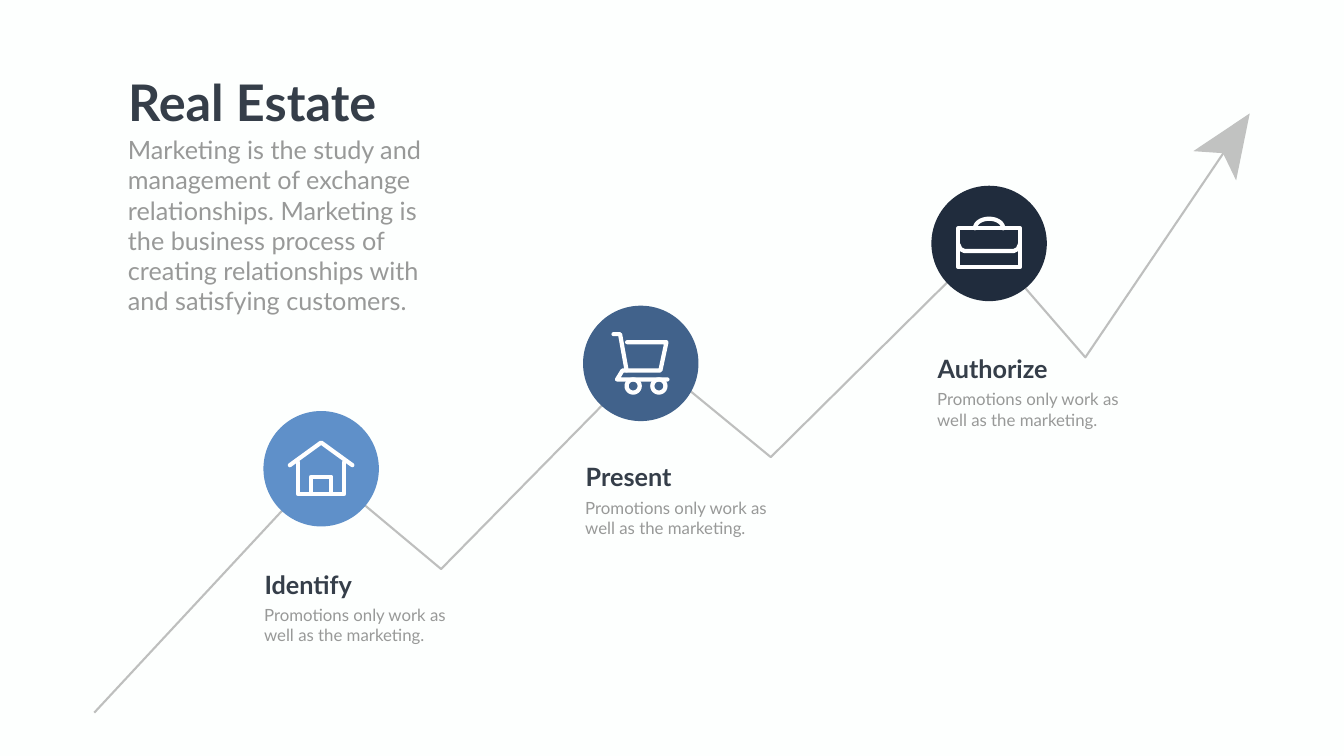
"""Build a rising real estate path with three marked steps."""
import math
import pptx
import pptx.dml.color
import pptx.enum.shapes
import pptx.enum.text
import pptx.oxml.ns
import pptx.util
from lxml import etree

Inches = pptx.util.Inches
qn = pptx.oxml.ns.qn
DARK, GREY, WHITE = "353E49", "989998", "FFFFFF"
TITLE = "Real Estate"
INTRO = ("Marketing is the study and management of exchange relationships. "
         "Marketing is the business process of creating relationships with "
         "and satisfying customers.")
NOTE = "Promotions only work as well as the marketing."
SIZE = 2.29


def arc(x, y, wide, high, start, end, count=24):
    turns = [math.radians(start + (end - start) * i / count)
             for i in range(count + 1)]
    return [(x + wide * math.cos(t), y + high * math.sin(t)) for t in turns]


TREND = [(1.87, 14.14), (6.37, 9.3), (8.75, 11.29), (12.88, 7.09),
         (15.29, 9.07), (19.57, 4.83), (21.53, 7.09), (24.3, 2.99)]
TIP = [(24.79, 2.25), (24.52, 3.58), (24.26, 3.04), (23.67, 3), (24.79, 2.25)]

HOUSE = [
    [(5.75, 9.23), (6.37, 8.78), (6.99, 9.23)],
    [(5.91, 9.17), (5.91, 9.8), (6.83, 9.8), (6.83, 9.17)],
    [(6.17, 9.8), (6.17, 9.46), (6.57, 9.46), (6.57, 9.8)],
]
CART = [
    [(12.17, 6.63), (12.3, 6.63), (12.43, 7.35)],
    [(12.44, 6.79), (13.22, 6.79), (13.1, 7.35), (12.35, 7.35),
     (12.24, 7.53), (13.24, 7.53)],
    arc(12.56, 7.66, 0.13, 0.13, 0, 360),
    arc(13.07, 7.66, 0.13, 0.13, 0, 360),
]
CASE = [
    [(19.01, 4.53), (20.23, 4.53), (20.23, 5.3), (19.01, 5.3), (19.01, 4.53)],
    [(19.01, 4.85), (19.05, 4.94), (19.13, 4.98), (20.11, 4.98),
     (20.19, 4.94), (20.23, 4.85)],
    arc(19.62, 4.53, 0.28, 0.19, 180, 360),
]

STEPS = [
    {"name": "Identify", "fill": "5F90C9", "mid": (6.37, 9.3),
     "text": (5.15, 11.24), "icon": HOUSE},
    {"name": "Present", "fill": "41628B", "mid": (12.71, 7.21),
     "text": (11.52, 9.11), "icon": CART},
    {"name": "Authorize", "fill": "202C3D", "mid": (19.62, 4.83),
     "text": (18.5, 6.96), "icon": CASE},
]


def color(hue):
    return pptx.dml.color.RGBColor.from_string(hue)


def paint(shape, fill=None, line=None, width=0):
    shape.shadow.inherit = False
    if fill:
        shape.fill.solid()
        shape.fill.fore_color.rgb = color(fill)
    else:
        shape.fill.background()
    if line:
        shape.line.color.rgb = color(line)
        shape.line.width = pptx.util.Pt(width)
    else:
        shape.line.fill.background()
    return shape


def trace(paths, **style):
    pen = None
    for points in paths:
        spots = [(Inches(x), Inches(y)) for x, y in points]
        if pen is None:
            pen = slide.shapes.build_freeform(*spots[0], scale=1.0)
        else:
            pen.move_to(*spots[0])
        pen.add_line_segments(spots[1:], close=spots[0] == spots[-1])
    return paint(pen.convert_to_shape(), **style)


def disc(mid, size, **style):
    x, y = (Inches(v - size / 2) for v in mid)
    oval = pptx.enum.shapes.MSO_SHAPE.OVAL
    side = Inches(size)
    return paint(slide.shapes.add_shape(oval, x, y, side, side), **style)


def write(text, box, size, hue, bold=False, wrap=True, shape=None):
    left, top, width, height = (Inches(v) for v in box)
    if shape is None:
        shape = slide.shapes.add_textbox(left, top, width, height)
    shape.left, shape.top = left, top
    shape.width, shape.height = width, height
    frame = shape.text_frame
    frame.text = text
    frame.word_wrap = wrap
    frame.auto_size = pptx.enum.text.MSO_AUTO_SIZE.NONE
    frame.vertical_anchor = pptx.enum.text.MSO_ANCHOR.TOP
    line = frame.paragraphs[0]
    line.alignment = pptx.enum.text.PP_ALIGN.LEFT
    font = line.runs[0].font
    font.name, font.size, font.bold = "Lato", pptx.util.Pt(size), bold
    font.color.rgb = color(hue)


def smooth(shape):
    edge = shape.element.find(".//" + qn("a:ln"))
    edge.set("cap", "rnd")
    etree.SubElement(edge, qn("a:round"))


deck = pptx.Presentation()
deck.slide_width, deck.slide_height = Inches(26.66), Inches(15)
slide = deck.slides.add_slide(deck.slide_layouts[5])
slide.background.fill.solid()
slide.background.fill.fore_color.rgb = color("FDFFFE")

write(TITLE, (2.44, 1.37, 5.26, 1.31), 72, DARK, bold=True, wrap=False,
      shape=slide.shapes.title)
write(INTRO, (2.44, 2.62, 6.54, 3.74), 36, GREY)

trend = trace([TREND], line="808080", width=3)
tint = trend.element.find(".//" + qn("a:ln") + "//" + qn("a:srgbClr"))
etree.SubElement(tint, qn("a:alpha"), val="50000")
trace([TIP], fill="C1C2C1")

for step in STEPS:
    disc(step["mid"], SIZE, fill=step["fill"])
    smooth(trace(step["icon"], line=WHITE, width=6))
    x, y = step["text"]
    write(step["name"], (x, y, 2.61, 0.71), 36, DARK, bold=True)
    write(NOTE, (x - 0.01, y + 0.71, 4.02, 0.91), 24, GREY)

deck.save("out.pptx")
